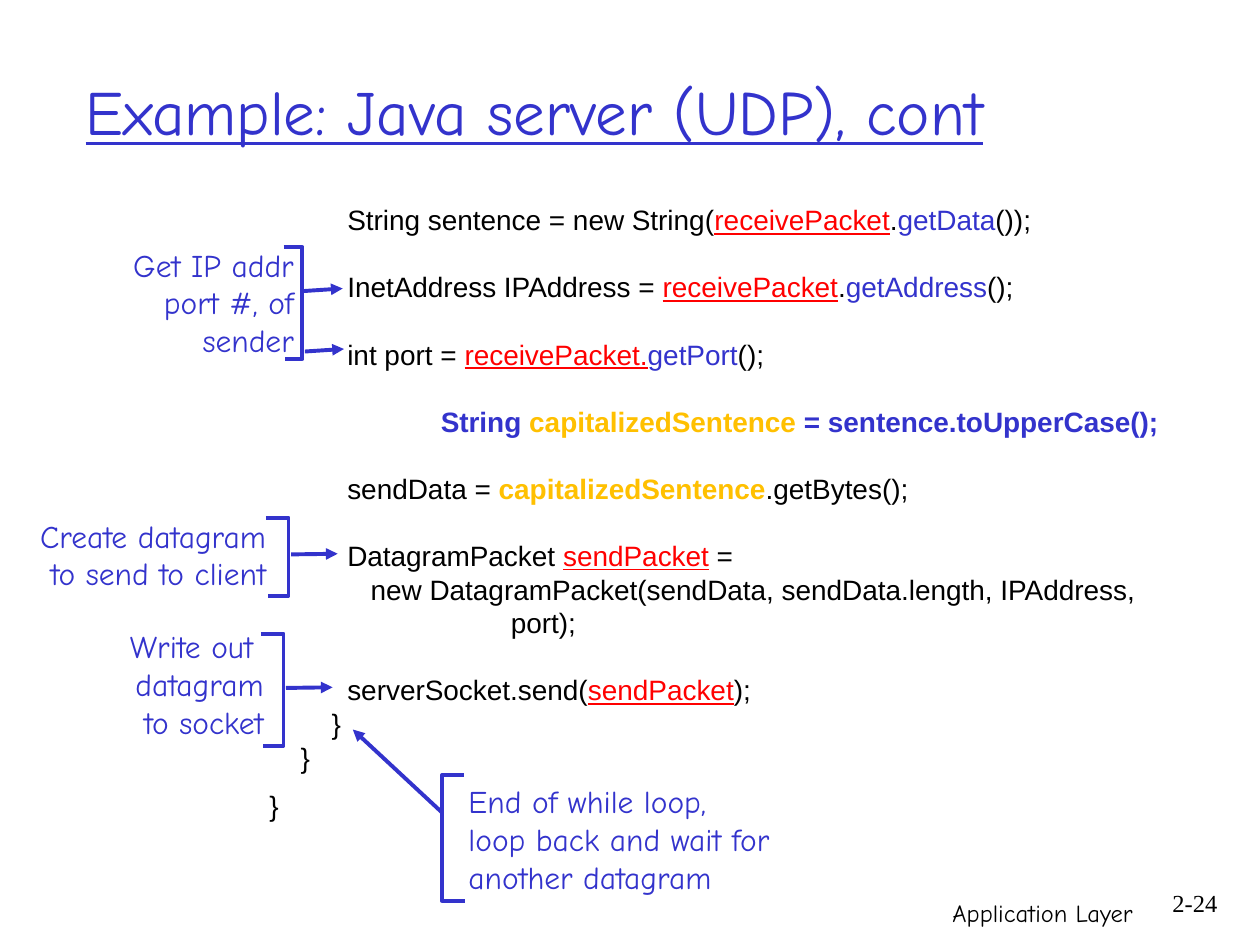
from lxml.etree import SubElement
from pptx import Presentation
from pptx.dml.color import RGBColor
from pptx.enum.shapes import MSO_CONNECTOR
from pptx.enum.text import MSO_ANCHOR, PP_ALIGN
from pptx.oxml.ns import qn
from pptx.util import Inches, Pt

COLORS = {"ink": "000000", "blue": "3333CC", "red": "FF0000", "gold": "FFC000"}
HAND, CODE, SERIF = "Comic Neue", "Arial", "Times New Roman"
COLS, ROWS = 100, 75
W, H = Inches(10), Inches(7.5)
LINE = 19.2    # code line pitch, points
SPACE = 4.45   # width of one code character step, points

# Run styles: colour, underline, bold
STYLES = {
    "plain": ("ink", False, False),
    "packet": ("red", True, False),
    "method": ("blue", False, False),
    "strong": ("blue", False, True),
    "result": ("gold", False, True),
}

# Code lines: indent in characters, space before in lines, runs
CODE_LINES = [
    (10, 0, [("String sentence = new String(", "plain"), ("receivePacket", "packet"),
             (".", "plain"), ("getData", "method"), ("());", "plain")]),
    (10, 1, [("InetAddress IPAddress = ", "plain"), ("receivePacket", "packet"),
             (".", "plain"), ("getAddress", "method"), ("();", "plain")]),
    (10, 1, [("int port = ", "plain"), ("receivePacket.", "packet"),
             ("getPort", "method"), ("();", "plain")]),
    (22, 1, [("String ", "strong"), ("capitalizedSentence", "result"),
             (" = sentence.toUpperCase();", "strong")]),
    (10, 1, [("sendData = ", "plain"), ("capitalizedSentence", "result"),
             (".getBytes();", "plain")]),
    (10, 1, [("DatagramPacket ", "plain"), ("sendPacket", "packet"), (" =", "plain")]),
    (13, 0, [("new DatagramPacket(sendData, sendData.length, IPAddress,", "plain")]),
    (31, 0, [("port);", "plain")]),
    (10, 1, [("serverSocket.send(", "plain"), ("sendPacket", "packet"), (");", "plain")]),
    (8, 0, [("}", "plain")]),
    (4, 0, [("}", "plain")]),
    (0, 0.43, [("}", "plain")]),
]

# Notes: text box, lines, bracket side, bracket (gap, top, height, arm),
# arrows (start from the spine and box top, then run)
NOTES = [
    ((1, 19, 23.3, 10), ["Get IP addr", "port #, of", "sender"], 1,
     (-0.3, 0.6, 8.9, 1.5), [(0.1, 4.1, 3.1, -0.2), (0.2, 8.9, 3.1, -0.2)]),
    ((1, 40.5, 21.1, 7), ["Create datagram", "to send to client"], 1,
     (0.8, 0.6, 6.2, 1.8), [(0.2, 3.5, 3.7, -0.05)]),
    ((1, 49.3, 20.9, 10), ["Write out ", "datagram", "to socket"], 1,
     (0.6, 1, 8.9, 1.8), [(0.2, 5.3, 3.7, -0.05)]),
    ((36.2, 61.6, 29, 10), ["End of while loop,", "loop back and wait for", "another datagram"], -1,
     (1.1, -0.1, 10, 1.7), [(0, 2.9, -7.1, -6.6)]),
]


def col(n):
    return int(W * n / COLS)


def row(n):
    return int(H * n / ROWS)


def place(box):
    x, y, w, h = box
    return col(x), row(y), col(w), row(h)


def rgb(name):
    return RGBColor.from_string(COLORS[name])


def style_line(sp):
    sp.line.color.rgb = rgb("blue")
    sp.line.width = Pt(2.25)


def add_text(slide, box, lines, font, size, color, align, anchor=MSO_ANCHOR.TOP):
    tf = slide.shapes.add_textbox(*place(box)).text_frame
    tf.word_wrap = True
    tf.vertical_anchor = anchor
    for i, line in enumerate(lines):
        p = tf.paragraphs[0] if i == 0 else tf.add_paragraph()
        p.text = line
        p.alignment = align
        p.font.name, p.font.size = font, Pt(size)
        p.font.color.rgb = rgb(color)


def add_title(slide, box, text):
    sp = slide.shapes.title
    sp.left, sp.top, sp.width, sp.height = place(box)
    tf = sp.text_frame
    tf.text = text
    tf.vertical_anchor = MSO_ANCHOR.MIDDLE
    p = tf.paragraphs[0]
    p.alignment = PP_ALIGN.LEFT
    p.font.name, p.font.size, p.font.underline = HAND, Pt(36), True
    p.font.color.rgb = rgb("blue")


def add_code(slide, box, lines):
    tf = slide.shapes.add_textbox(*place(box)).text_frame
    tf.word_wrap = True
    for i, (indent, gap, runs) in enumerate(lines):
        p = tf.paragraphs[0] if i == 0 else tf.add_paragraph()
        p.line_spacing, p.space_before = Pt(LINE), Pt(gap * LINE)
        p.font.name, p.font.size = CODE, Pt(16)
        pPr = p._p.get_or_add_pPr()
        pPr.set("marL", str(int(Pt(indent * SPACE))))
        pPr.set("indent", "0")
        for text, style in runs:
            color, underline, bold = STYLES[style]
            r = p.add_run()
            r.text = text
            r.font.color.rgb = rgb(color)
            r.font.underline, r.font.bold = underline, bold


def add_bracket(slide, spine, top, height, reach):
    tip = spine - reach
    builder = slide.shapes.build_freeform(col(tip), row(top))
    builder.add_line_segments(
        [(col(spine), row(top)), (col(spine), row(top + height)),
         (col(tip + 0.15), row(top + height))], close=False)
    sp = builder.convert_to_shape()
    sp.shadow.inherit = False
    sp.fill.background()
    style_line(sp)


def add_arrow(slide, x, y, dx, dy):
    sp = slide.shapes.add_connector(
        MSO_CONNECTOR.STRAIGHT, col(x), row(y), col(x + dx), row(y + dy))
    style_line(sp)
    SubElement(sp.line._get_or_add_ln(), qn("a:tailEnd"), type="triangle")
    SubElement(sp._element.spPr, qn("a:effectLst"))


def add_note(slide, box, lines, side, bracket, arrows):
    x, y, w, _ = box
    gap, top, height, arm = bracket
    align = PP_ALIGN.RIGHT if side > 0 else PP_ALIGN.LEFT
    add_text(slide, box, lines, HAND, 18, "blue", align, MSO_ANCHOR.MIDDLE)
    spine = (x + w if side > 0 else x) + side * gap
    add_bracket(slide, spine, y + top, height, side * arm)
    for ax, ay, dx, dy in arrows:
        add_arrow(slide, spine + ax, y + ay, dx, dy)


def add_footer(slide):
    add_text(slide, (59.2, 70.8, 31.7, 4), ["Application Layer"],
             HAND, 14, "ink", PP_ALIGN.RIGHT)
    add_text(slide, (90.8, 70, 6.8, 4), ["2-24"], SERIF, 14, "ink", PP_ALIGN.RIGHT)


def main():
    prs = Presentation()
    prs.slide_width, prs.slide_height = W, H
    slide = prs.slides.add_slide(prs.slide_layouts[5])
    add_footer(slide)
    add_title(slide, (5.8, 2.5, 85, 12.5), "Example: Java server (UDP), cont")
    add_code(slide, (20.4, 15.6, 75, 50.3), CODE_LINES)
    for note in NOTES:
        add_note(slide, *note)
    prs.save("out.pptx")


if __name__ == "__main__":
    main()
